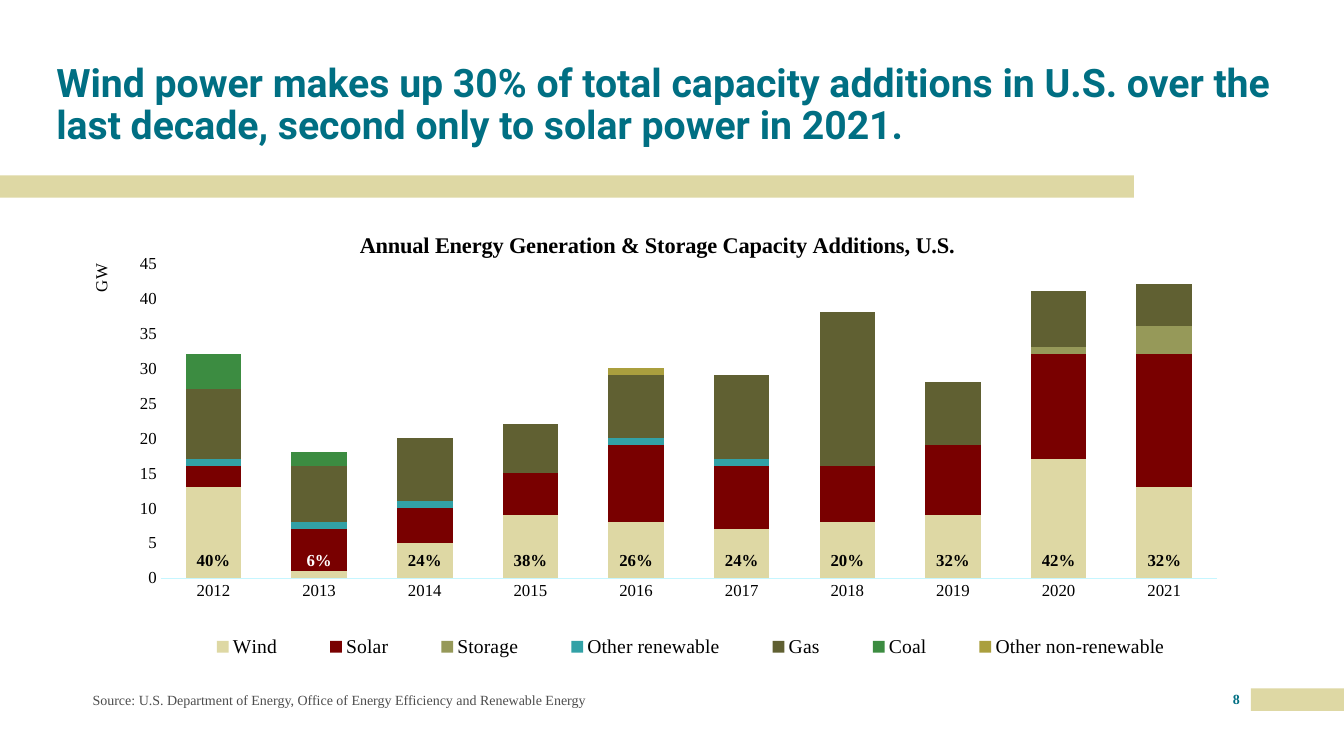
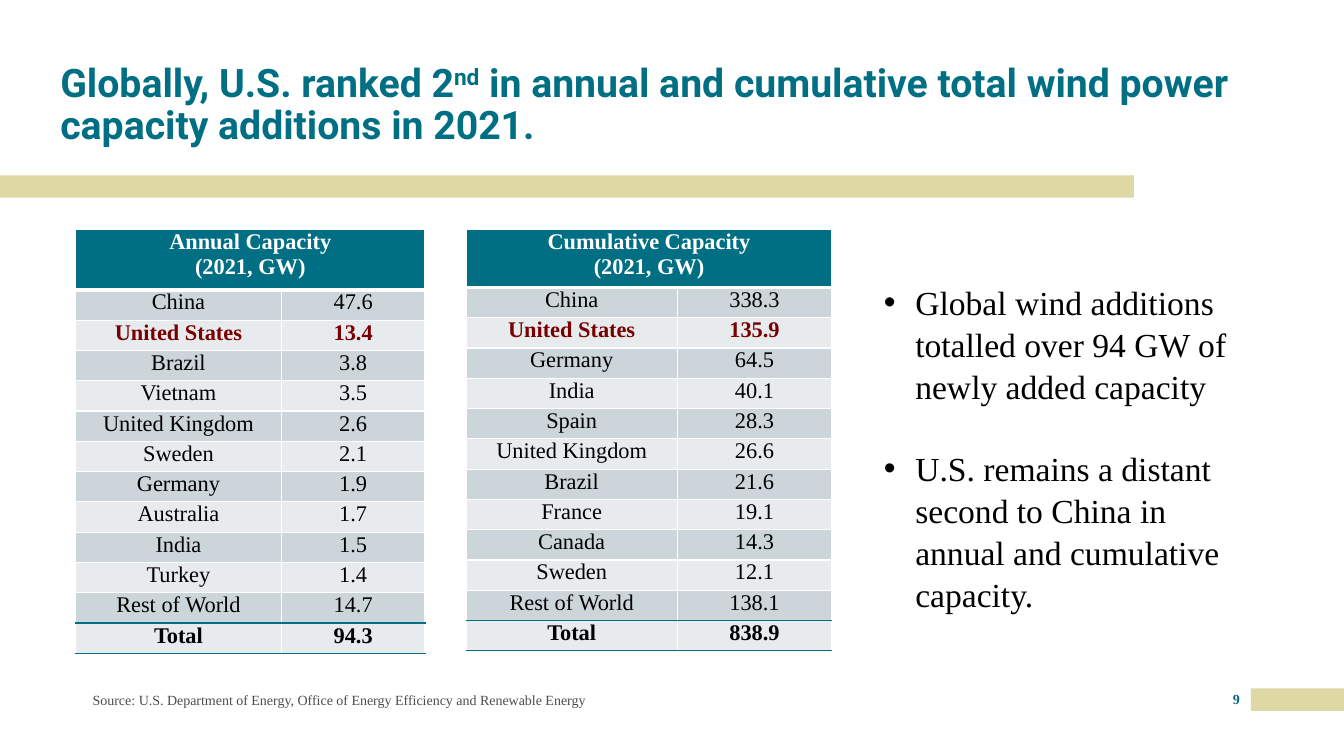
"""Build two slides on wind power capacity additions."""
import pptx
import pptx.chart.data
import pptx.dml.color
import pptx.enum.chart
import pptx.enum.shapes
import pptx.enum.text
import pptx.oxml
import pptx.oxml.ns
import pptx.util

Pt = pptx.util.Pt
qn = pptx.oxml.ns.qn
ALIGN = pptx.enum.text.PP_ALIGN
ANCHOR = pptx.enum.text.MSO_ANCHOR

COLORS = {
    "teal": "006F83", "sand": "DED8A4", "black": "000000", "white": "FFFFFF",
    "gray": "4D4D4D", "maroon": "790000", "olive": "969959", "aqua": "32A1A6",
    "moss": "606032", "green": "3C8C41", "mustard": "AA9F3E", "ice": "C6F6FF",
    "row_dark": "CCD5D9", "row_light": "E7EBED",
}
SERIF = "Times New Roman"
STYLES = {
    "title": {"name": "Roboto", "size": Pt(28), "bold": True, "color": "teal"},
    "source": {"name": SERIF, "size": Pt(10), "color": "gray"},
    "page": {"name": SERIF, "size": Pt(10), "bold": True, "color": "teal"},
    "bullet": {"name": SERIF, "size": Pt(24), "color": "black"},
    "chart_title": {"name": SERIF, "size": Pt(16), "bold": True, "color": "black"},
    "axis": {"name": SERIF, "size": Pt(12), "bold": False, "color": "black"},
    "legend": {"name": SERIF, "size": Pt(14), "color": "black"},
    "share": {"name": SERIF, "size": Pt(12), "bold": True, "color": "black"},
    "cell": {"name": SERIF, "size": Pt(16), "bold": False, "color": "black"},
}
SLIDE_SIZE = (960, 540)
BANDS = [(893.5, 491.8, 66.5, 16), (0, 125.3, 810, 16)]
SOURCE = "Source: U.S. Department of Energy, Office of Energy Efficiency and Renewable Energy"

CAPACITY_TITLE = [("Wind power makes up 30% of total capacity additions in U.S. over the "
                   "last decade, second only to solar power in 2021.", {})]
RANKING_TITLE = [("Globally, U.S. ranked 2", {}), ("nd", {"baseline": "30000"}),
                 (" in annual and cumulative total wind power capacity additions in 2021.", {})]

CHART_TITLE = "Annual Energy Generation & Storage Capacity Additions, U.S."
CHART_BOX = (39.6, 146.2, 854.6, 347)
PLOT_AREA = (0.088, 0.121, 0.883, 0.648)
YEARS = [str(year) for year in range(2012, 2022)]
SERIES = [
    ("Wind", "sand", (13, 1, 5, 9, 8, 7, 8, 9, 17, 13)),
    ("Solar", "maroon", (3, 6, 5, 6, 11, 9, 8, 10, 15, 19)),
    ("Storage", "olive", (0, 0, 0, 0, 0, 0, 0, 0, 1, 4)),
    ("Other renewable", "aqua", (1, 1, 1, 0, 1, 1, 0, 0, 0, 0)),
    ("Gas", "moss", (10, 8, 9, 7, 9, 12, 22, 9, 8, 6)),
    ("Coal", "green", (5, 2, 0, 0, 0, 0, 0, 0, 0, 0)),
    ("Other non-renewable", "mustard", (0, 0, 0, 0, 1, 0, 0, 0, 0, 0)),
]
WIND_SHARES = ["40%", "6%", "24%", "38%", "26%", "24%", "20%", "32%", "42%", "32%"]

TABLES = [
    {"heading": ("Annual Capacity", "(2021, GW)"), "left": 54, "header": 43.3,
     "columns": (147, 102.6),
     "rows": [("China", "47.6"), ("United States", "13.4"), ("Brazil", "3.8"),
              ("Vietnam", "3.5"), ("United Kingdom", "2.6"), ("Sweden", "2.1"),
              ("Germany", "1.9"), ("Australia", "1.7"), ("India", "1.5"),
              ("Turkey", "1.4"), ("Rest of World", "14.7"), ("Total", "94.3")]},
    {"heading": ("Cumulative Capacity", "(2021, GW)"), "left": 333, "header": 41.5,
     "columns": (150.7, 110.5),
     "rows": [("China", "338.3"), ("United States", "135.9"), ("Germany", "64.5"),
              ("India", "40.1"), ("Spain", "28.3"), ("United Kingdom", "26.6"),
              ("Brazil", "21.6"), ("France", "19.1"), ("Canada", "14.3"),
              ("Sweden", "12.1"), ("Rest of World", "138.1"), ("Total", "838.9")]},
]
TABLE_TOP = 163.8
ROW_HEIGHT = 21.65
EMPHASIS = {"United States": {"bold": True, "color": "maroon"}, "Total": {"bold": True}}
BULLETS = ["Global wind additions totalled over 94 GW of newly added capacity",
           "U.S. remains a distant second to China in annual and cumulative capacity."]


def rgb(name):
    return pptx.dml.color.RGBColor.from_string(COLORS[name])


def points(values):
    return [Pt(value) for value in values]


def set_values(target, values):
    for name, value in values.items():
        setattr(target, name, value)


def style_font(font, style, **changes):
    for name, value in {**STYLES[style], **changes}.items():
        if name == "color":
            font.color.rgb = rgb(value)
        else:
            setattr(font, name, value)


def fill_solid(fill, color):
    fill.solid()
    fill.fore_color.rgb = rgb(color)


def add_text(slide, box, runs, style, align=ALIGN.LEFT, anchor=ANCHOR.TOP, inset=0, **changes):
    frame = slide.shapes.add_textbox(*points(box)).text_frame
    set_values(frame, {"word_wrap": True, "vertical_anchor": anchor})
    for side in ("left", "top", "right", "bottom"):
        setattr(frame, f"margin_{side}", Pt(inset))
    paragraph = frame.paragraphs[0]
    paragraph.alignment = align
    for text, attributes in runs:
        run = paragraph.add_run()
        run.text = text
        style_font(run.font, style, **changes)
        for name, value in attributes.items():
            run._r.get_or_add_rPr().set(name, value)
    return frame


def add_base_slide(presentation, title, title_left, page):
    slide = presentation.slides.add_slide(presentation.slide_layouts[6])
    for box in BANDS:
        band = slide.shapes.add_shape(pptx.enum.shapes.MSO_SHAPE.RECTANGLE, *points(box))
        band.shadow.inherit = False
        fill_solid(band.fill, "sand")
        band.line.fill.background()
    frame = add_text(slide, (title_left, 28.8, 894.2, 93.6), title, "title",
                     anchor=ANCHOR.MIDDLE, inset=7.2)
    frame.paragraphs[0].line_spacing = 0.9
    add_text(slide, (66.2, 491.8, 368.6, 16.6), [(SOURCE, {})], "source", anchor=ANCHOR.MIDDLE)
    add_text(slide, (872.6, 493.2, 20.9, 18), [(page, {})], "page", align=ALIGN.CENTER)
    return slide


def place(element, index, inner=False, **position):
    for old in element.findall(qn("c:layout")):
        element.remove(old)
    entries = '<c:layoutTarget val="inner"/>' if inner else ""
    entries += '<c:xMode val="edge"/><c:yMode val="edge"/>'
    entries += "".join(f'<c:{name} val="{value}"/>' for name, value in position.items())
    element.insert(index, pptx.oxml.parse_xml(
        f'<c:layout {pptx.oxml.ns.nsdecls("c")}><c:manualLayout>{entries}'
        '</c:manualLayout></c:layout>'))


def write_chart_title(title, text, style, x, y):
    title.text_frame.text = text
    style_font(title.text_frame.paragraphs[0].runs[0].font, style)
    place(title.element, 1, x=x, y=y)


def add_capacity_chart(slide):
    data = pptx.chart.data.CategoryChartData()
    data.categories = YEARS
    for name, _, values in SERIES:
        data.add_series(name, values)
    chart = slide.shapes.add_chart(pptx.enum.chart.XL_CHART_TYPE.COLUMN_STACKED,
                                   *points(CHART_BOX), data).chart
    style_font(chart.font, "axis")
    set_values(chart, {"has_title": True, "has_legend": True})
    write_chart_title(chart.chart_title, CHART_TITLE, "chart_title", 0.251, 0.045)
    set_values(chart.plots[0], {"gap_width": 90, "overlap": 100, "vary_by_categories": False})
    for series, (_, color, _) in zip(chart.plots[0].series, SERIES):
        fill_solid(series.format.fill, color)
    for axis in (chart.category_axis, chart.value_axis):
        set_values(axis, {"has_major_gridlines": False,
                          "major_tick_mark": pptx.enum.chart.XL_TICK_MARK.NONE})
        style_font(axis.tick_labels.font, "axis")
    line = chart.category_axis.format.line
    line.color.rgb = rgb("ice")
    line.width = Pt(0.75)
    value_axis = chart.value_axis
    set_values(value_axis, {"minimum_scale": 0, "maximum_scale": 45, "major_unit": 5,
                            "has_title": True})
    value_axis.format.line.fill.background()
    write_chart_title(value_axis.axis_title, "GW", "axis", 0.027, 0.116)
    body = value_axis.axis_title.element.find(".//" + qn("a:bodyPr"))
    body.set("rot", "-5400000")
    body.set("vert", "horz")
    set_values(chart.legend, {"position": pptx.enum.chart.XL_LEGEND_POSITION.BOTTOM,
                              "include_in_layout": False})
    style_font(chart.legend.font, "legend")
    place(chart.element.find(".//" + qn("c:legend")), 1, x=0.096, y=0.875, w=0.87, h=0.07)
    place(chart.element.find(".//" + qn("c:plotArea")), 0, inner=True,
          **dict(zip("xywh", PLOT_AREA)))


def add_wind_shares(slide):
    left, _, width, _ = CHART_BOX
    step = width * PLOT_AREA[2] / len(YEARS)
    box_width = 39
    first = left + width * PLOT_AREA[0] + (step - box_width) / 2
    for index, share in enumerate(WIND_SHARES):
        add_text(slide, (first + index * step, 388.8, box_width, 21.6), [(share, {})], "share",
                 align=ALIGN.CENTER, inset=3.6, color="white" if share == "6%" else "black")


def set_borders(cell, top, bottom, bottom_width):
    borders = [("L", "white", 1), ("R", "white", 1), ("T", top, 1), ("B", bottom, bottom_width)]
    properties = cell._tc.get_or_add_tcPr()
    for index, (side, color, width) in enumerate(borders):
        properties.insert(index, pptx.oxml.parse_xml(
            f'<a:ln{side} {pptx.oxml.ns.nsdecls("a")} w="{Pt(width)}"><a:solidFill>'
            f'<a:srgbClr val="{COLORS[color]}"/></a:solidFill></a:ln{side}>'))


def write_cell(cell, text, fill, top="white", bottom="white", bottom_width=1, **changes):
    for side in ("left", "top", "right", "bottom"):
        setattr(cell, f"margin_{side}", 0)
    cell.text = text
    for paragraph in cell.text_frame.paragraphs:
        paragraph.alignment = ALIGN.CENTER
        style_font(paragraph.font, "cell", **changes)
        for run in paragraph.runs:
            style_font(run.font, "cell", **changes)
    fill_solid(cell.fill, fill)
    set_borders(cell, top, bottom, bottom_width)


def add_ranking_table(slide, content):
    rows, columns = content["rows"], content["columns"]
    height = content["header"] + ROW_HEIGHT * len(rows)
    table = slide.shapes.add_table(len(rows) + 1, len(columns), *points(
        (content["left"], TABLE_TOP, sum(columns), height))).table
    set_values(table, {"first_row": False, "horz_banding": False})
    for column, width in zip(table.columns, columns):
        column.width = Pt(width)
    for index, row in enumerate(table.rows):
        row.height = Pt(ROW_HEIGHT if index else content["header"])
    for index, text in enumerate(("\n".join(content["heading"]), "")):
        write_cell(table.cell(0, index), text, "teal", bottom_width=3, bold=True, color="white")
    table.cell(0, 0).merge(table.cell(0, 1))
    for row_index, row in enumerate(rows, 1):
        fill = "row_dark" if row_index % 2 else "row_light"
        top = "teal" if row_index == len(rows) else "white"
        bottom = "teal" if row_index >= len(rows) - 1 else "white"
        for column_index, text in enumerate(row):
            write_cell(table.cell(row_index, column_index), text, fill, top, bottom,
                       **EMPHASIS.get(row[0], {}))


def add_bullets(slide):
    frame = slide.shapes.add_textbox(*points((624.2, 196.6, 270, 239.8))).text_frame
    frame.word_wrap = True
    for index, text in enumerate(BULLETS):
        paragraph = frame.add_paragraph() if index else frame.paragraphs[0]
        properties = paragraph._p.get_or_add_pPr()
        properties.set("marL", str(Pt(22.5)))
        properties.set("indent", str(Pt(-22.5)))
        for tag, name, value in (("buFont", "typeface", "Arial"), ("buChar", "char", "•")):
            properties.append(pptx.oxml.parse_xml(
                f'<a:{tag} {pptx.oxml.ns.nsdecls("a")} {name}="{value}"/>'))
        paragraph.line_spacing = 1.04
        if index:
            paragraph.space_before = Pt(28.8)
        run = paragraph.add_run()
        run.text = text
        style_font(run.font, "bullet")


def main():
    presentation = pptx.Presentation()
    presentation.slide_width, presentation.slide_height = points(SLIDE_SIZE)
    slide = add_base_slide(presentation, CAPACITY_TITLE, 33.1, "8")
    add_capacity_chart(slide)
    add_wind_shares(slide)
    slide = add_base_slide(presentation, RANKING_TITLE, 36, "9")
    for content in TABLES:
        add_ranking_table(slide, content)
    add_bullets(slide)
    presentation.save("out.pptx")


if __name__ == "__main__":
    main()
